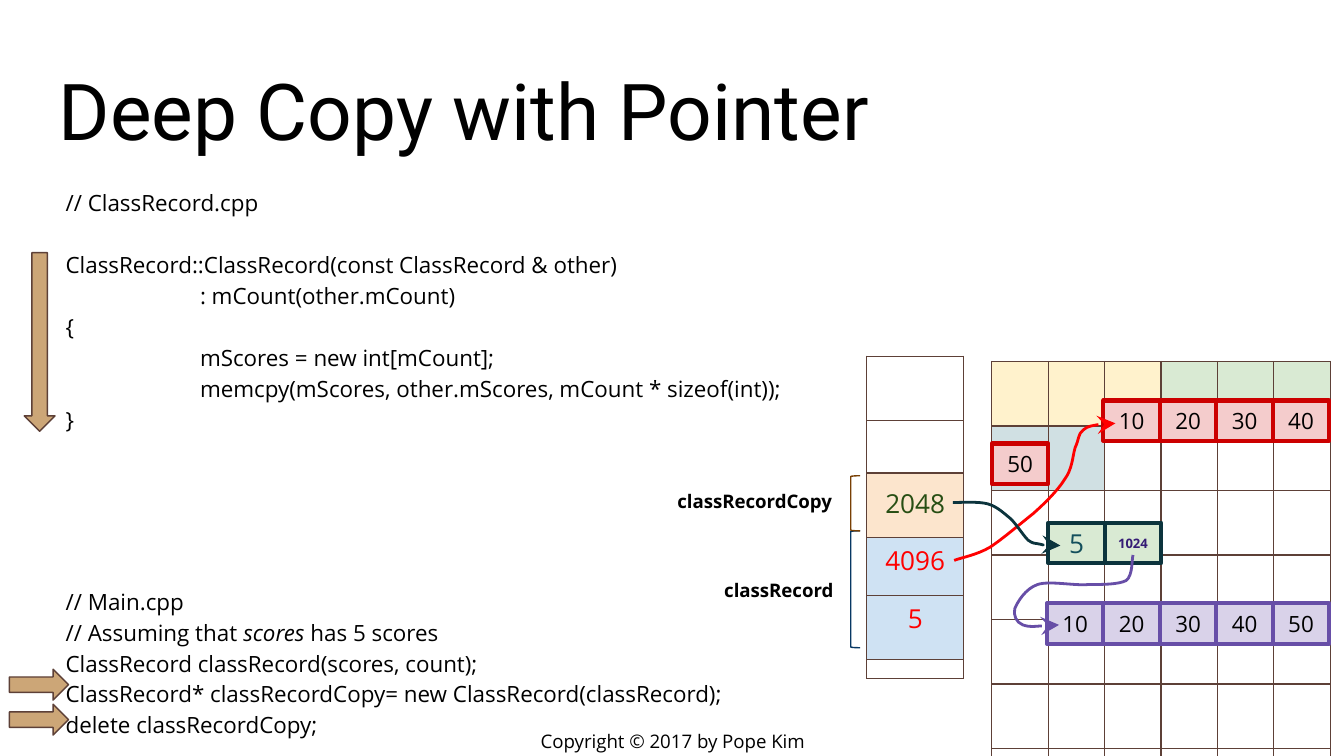
from copy import deepcopy

from lxml import etree
from pptx import Presentation
from pptx.dml.color import RGBColor
from pptx.enum.shapes import MSO_SHAPE
from pptx.enum.text import MSO_ANCHOR, PP_ALIGN
from pptx.oxml.ns import qn
from pptx.util import Inches, Pt

LEFT, CENTER = PP_ALIGN.LEFT, PP_ALIGN.CENTER
TOP, MIDDLE, BOTTOM = MSO_ANCHOR.TOP, MSO_ANCHOR.MIDDLE, MSO_ANCHOR.BOTTOM
RECTANGLE, ARROW = MSO_SHAPE.RECTANGLE, MSO_SHAPE.RIGHT_ARROW
BRACKET = MSO_SHAPE.LEFT_BRACKET

BLACK = RGBColor(0x00, 0x00, 0x00)
BROWN = RGBColor(0x5D, 0x40, 0x37)
TAN = RGBColor(0xCC, 0xA6, 0x77)
YELLOW = RGBColor(0xFF, 0xF2, 0xCC)
PALE_GREEN = RGBColor(0xD9, 0xEA, 0xD3)
PALE_TEAL = RGBColor(0xD0, 0xE0, 0xE3)
PALE_BLUE = RGBColor(0xCF, 0xE2, 0xF3)
PALE_ORANGE = RGBColor(0xFC, 0xE5, 0xCD)
PALE_RED = RGBColor(0xF4, 0xCC, 0xCC)
PALE_PURPLE = RGBColor(0xD9, 0xD2, 0xE9)
RED = RGBColor(0xFF, 0x00, 0x00)
DARK_RED = RGBColor(0xCC, 0x00, 0x00)
NAVY = RGBColor(0x07, 0x37, 0x63)
RUST = RGBColor(0x78, 0x3F, 0x04)
GREEN = RGBColor(0x27, 0x4E, 0x13)
DARK_TEAL = RGBColor(0x0C, 0x34, 0x3D)
TEAL = RGBColor(0x13, 0x4F, 0x5C)
PURPLE = RGBColor(0x67, 0x4E, 0xA7)
INDIGO = RGBColor(0x35, 0x1C, 0x75)

ROW_HEIGHT = 0.48
CELL_WIDTH, CELL_HEIGHT = 0.42, 0.3

CLASS_CODE = """// ClassRecord.cpp

ClassRecord::ClassRecord(const ClassRecord & other)
\t: mCount(other.mCount)
{
\tmScores = new int[mCount];
\tmemcpy(mScores, other.mScores, mCount * sizeof(int));
}"""
MAIN_CODE = """// Main.cpp
// Assuming that *scores* has 5 scores
ClassRecord classRecord(scores, count);
ClassRecord* classRecordCopy= new ClassRecord(classRecord);
delete classRecordCopy;"""


def write(paragraph, text, font="Open Sans", size=12, color=BLACK, bold=False,
          italic=False, align=LEFT):
    paragraph.alignment = align
    run = paragraph.add_run()
    run.text = text
    run.font.name = font
    run.font.size = Pt(size)
    run.font.color.rgb = color
    run.font.bold = bold
    run.font.italic = italic


def set_frame(frame, anchor):
    frame.word_wrap = True
    frame.vertical_anchor = anchor
    frame.margin_left = frame.margin_right = Inches(0.1)
    frame.margin_top = frame.margin_bottom = Inches(0.1)


class MemorySlide:
    def __init__(self, slide):
        self.shapes = slide.shapes

    def text(self, box, text, anchor=MIDDLE, **style):
        frame = self.shapes.add_textbox(*map(Inches, box)).text_frame
        set_frame(frame, anchor)
        write(frame.paragraphs[0], text, **style)

    def code(self, box, listings, gap):
        """Write each listing as one paragraph; *word* pairs mark italics."""
        frame = self.shapes.add_textbox(*map(Inches, box)).text_frame
        set_frame(frame, TOP)
        for index, listing in enumerate(listings):
            paragraph = frame.add_paragraph() if index else frame.paragraphs[0]
            tabs = etree.SubElement(paragraph._p.get_or_add_pPr(), qn("a:tabLst"))
            etree.SubElement(tabs, qn("a:tab"), pos=str(Inches(1)), algn="l")
            paragraph.line_spacing = 1.15
            paragraph.space_after = Pt(gap)
            for number, line in enumerate(listing.split("\n")):
                if number:
                    paragraph.add_line_break()
                    style = paragraph.runs[-1]._r.rPr
                    paragraph._p[-1].append(deepcopy(style))
                parts = line.split("*") if line.count("*") == 2 else [line]
                for place, part in enumerate(parts):
                    if part:
                        write(paragraph, part, italic=place == 1 and len(parts) == 3)

    def shape(self, kind, box, line, fill=None, width=0.75, rotation=0):
        shape = self.shapes.add_shape(kind, *map(Inches, box))
        shape.shadow.inherit = False
        shape.rotation = rotation
        shape.line.color.rgb = line
        shape.line.width = Pt(width)
        if fill is None:
            shape.fill.background()
        else:
            shape.fill.solid()
            shape.fill.fore_color.rgb = fill
        return shape

    def memory(self, left, top, values, fill, line):
        """Draw a run of adjoining memory cells."""
        for index, value in enumerate(values):
            box = (left + index * CELL_WIDTH, top, CELL_WIDTH, CELL_HEIGHT)
            cell = self.shape(RECTANGLE, box, line, fill, 2.25)
            if value:
                set_frame(cell.text_frame, MIDDLE)
                write(cell.text_frame.paragraphs[0], value, align=CENTER)

    def table(self, left, top, column_width, fills):
        rows, columns = len(fills), len(fills[0])
        table = self.shapes.add_table(
            rows, columns, Inches(left), Inches(top),
            Inches(column_width * columns), Inches(ROW_HEIGHT * rows)).table
        table.first_row = table.horz_banding = False
        for column in table.columns:
            column.width = Inches(column_width)
        for row, row_fills in zip(table.rows, fills):
            row.height = Inches(ROW_HEIGHT)
            for cell, fill in zip(row.cells, row_fills):
                self.border(cell)
                if fill is None:
                    cell.fill.background()
                else:
                    cell.fill.solid()
                    cell.fill.fore_color.rgb = fill

    def border(self, cell):
        properties = cell._tc.get_or_add_tcPr()
        for side in ("lnL", "lnR", "lnT", "lnB"):
            line = etree.SubElement(properties, qn(f"a:{side}"), w=str(Pt(0.75)))
            fill = etree.SubElement(line, qn("a:solidFill"))
            etree.SubElement(fill, qn("a:srgbClr"), val=str(BROWN))

    def pointer(self, points, color):
        """Draw a Bezier curve: a start, then three points per segment."""
        start, *rest = [(Inches(x), Inches(y)) for x, y in points]
        builder = self.shapes.build_freeform(*start)
        builder.add_line_segments(rest, close=False)
        curve = builder.convert_to_shape()
        curve.shadow.inherit = False
        curve.fill.background()
        curve.line.color.rgb = color
        curve.line.width = Pt(1.5)
        etree.SubElement(curve.line._get_or_add_ln(), qn("a:tailEnd"),
                         type="stealth", w="lg", len="lg")
        outline = next(curve._element.iter(qn("a:path")))
        steps = outline.findall(qn("a:lnTo"))
        for first in range(0, len(steps), 3):
            bend = etree.SubElement(outline, qn("a:cubicBezTo"))
            for step in steps[first:first + 3]:
                bend.append(step[0])
                outline.remove(step)


def main():
    deck = Presentation()
    deck.slide_width, deck.slide_height = Inches(10), Inches(10 * 9 / 16)
    page = MemorySlide(deck.slides.add_slide(deck.slide_layouts[6]))

    page.text((3.77, 5.41, 2.47, 0.21), "Copyright © 2017 by Pope Kim",
              size=10, align=CENTER)
    page.text((0.34, 0.35, 9.32, 0.91), "Deep Copy with Pointer", BOTTOM,
              font="Roboto", size=42)
    page.code((0.39, 1.28, 5.67, 4.25), [CLASS_CODE, MAIN_CODE], gap=81)

    heap = [[YELLOW] * 3 + [PALE_GREEN] * 3, [PALE_TEAL] * 2 + [None] * 4]
    page.table(7.38, 2.69, CELL_WIDTH, heap + [[None] * 6] * 5)
    for top, stack in ((2.65, [[None]] * 5), (3.95, [[PALE_BLUE]] * 2),
                       (3.52, [[PALE_ORANGE]])):
        page.table(6.45, top, 0.72, stack)

    for name, label_box, top, height, color in (
            ("classRecord", (5.28, 4.2, 1.03, 0.38), 3.95, 0.87, NAVY),
            ("classRecordCopy", (4.91, 3.54, 1.41, 0.38), 3.54, 0.41, RUST)):
        page.shape(BRACKET, (6.33, top, 0.07, height), color)
        page.text(label_box, name, size=10, bold=True, align=CENTER)

    page.shape(ARROW, (-0.37, 2.43, 1.33, 0.23), BROWN, TAN, rotation=90)
    for top in (4.98, 5.24):
        page.shape(ARROW, (0.07, top, 0.44, 0.23), BROWN, TAN)

    page.memory(8.21, 2.98, ["10", "20", "30", "40"], PALE_RED, DARK_RED)
    page.memory(7.38, 3.3, ["50"], PALE_RED, DARK_RED)
    for top, value, color in ((4.38, "5", RED), (3.95, "4096", RED),
                              (3.52, "2048", GREEN)):
        page.text((6.45, top, 0.72, 0.44), value, size=14, color=color, align=CENTER)
    page.pointer([
        (7.1, 4.17), (7.15, 4.15), (7.27, 4.13), (7.37, 4.07),
        (7.46, 4.01), (7.59, 3.9), (7.69, 3.82), (7.78, 3.74), (7.87, 3.65),
        (7.92, 3.57), (7.98, 3.49), (7.98, 3.4), (8, 3.33), (8.03, 3.27),
        (8.02, 3.23), (8.06, 3.2), (8.09, 3.17), (8.18, 3.16), (8.22, 3.15),
        (8.26, 3.14), (8.29, 3.15), (8.3, 3.15)], RED)

    page.memory(7.8, 3.89, ["", ""], PALE_GREEN, DARK_TEAL)
    page.pointer([
        (7.09, 3.74), (7.14, 3.74), (7.28, 3.73), (7.35, 3.75),
        (7.42, 3.77), (7.47, 3.82), (7.52, 3.86), (7.57, 3.91), (7.61, 3.98),
        (7.65, 4.02), (7.69, 4.05), (7.7, 4.04), (7.74, 4.05), (7.78, 4.06),
        (7.86, 4.06), (7.89, 4.06)], DARK_TEAL)
    for left, value, style in (
            (7.79, "5", {"size": 14, "color": TEAL}),
            (8.21, "1024", {"size": 7, "color": INDIGO, "bold": True})):
        page.text((left, 3.88, 0.44, 0.32), value, align=CENTER, **style)

    page.memory(7.79, 4.49, ["10", "20", "30", "40", "50"], PALE_PURPLE, PURPLE)
    page.pointer([
        (8.43, 4.13), (8.42, 4.16), (8.43, 4.28), (8.38, 4.32),
        (8.32, 4.35), (8.21, 4.35), (8.1, 4.35), (7.99, 4.36), (7.81, 4.32),
        (7.72, 4.35), (7.63, 4.38), (7.57, 4.48), (7.55, 4.53), (7.54, 4.58),
        (7.56, 4.63), (7.61, 4.65), (7.67, 4.67), (7.84, 4.65), (7.88, 4.65)], PURPLE)

    deck.save("out.pptx")


if __name__ == "__main__":
    main()
